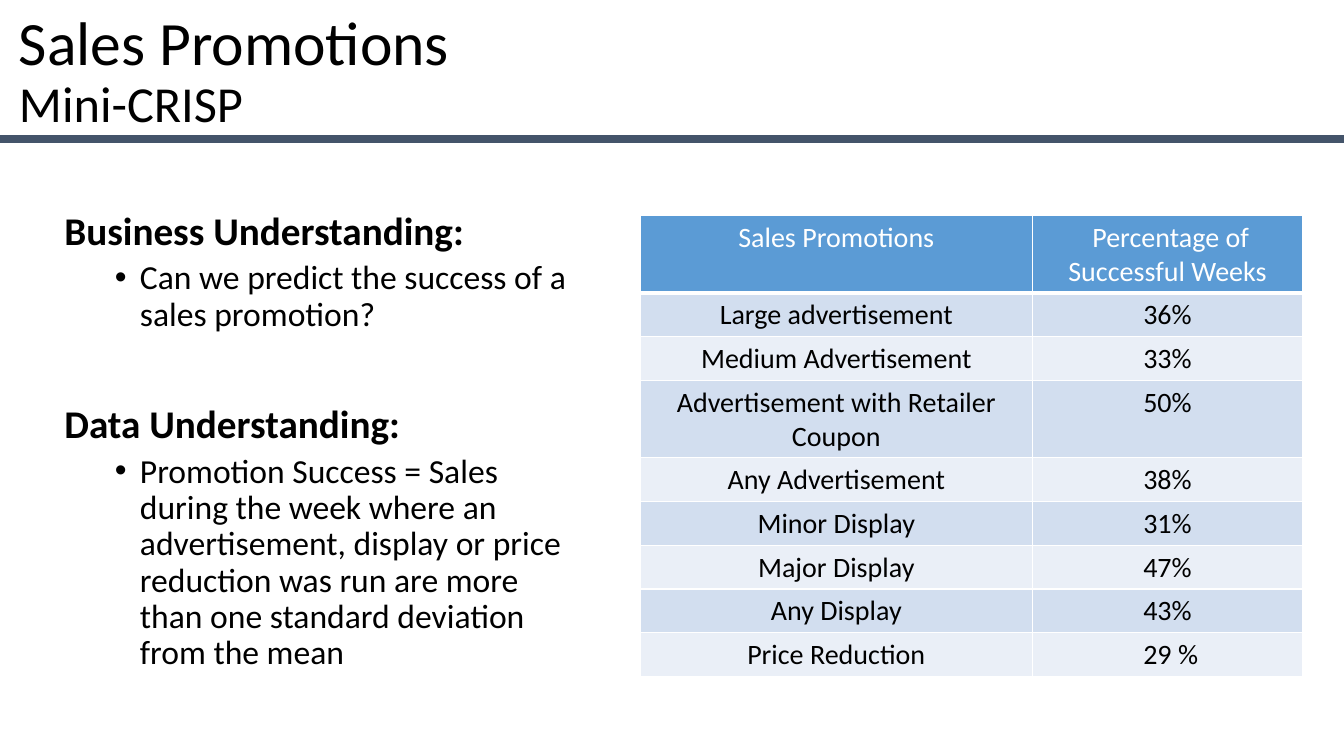
from lxml.etree import SubElement
from pptx import Presentation
from pptx.dml.color import RGBColor
from pptx.enum.shapes import MSO_CONNECTOR
from pptx.enum.text import MSO_ANCHOR, PP_ALIGN
from pptx.oxml.ns import qn
from pptx.util import Inches, Pt

COLORS = {
    "text": "000000", "white": "FFFFFF", "rule": "44546A",
    "header": "5B9BD5", "odd": "D2DEEF", "even": "EAEFF7",
}
FONT = "Calibri"
SLIDE_WIDTH, SLIDE_HEIGHT = 13.33, 7.5

TITLE = [("Sales Promotions", 44), ("Mini-CRISP", 36)]
SECTIONS = [
    ("Business Understanding:", "Can we predict the success of a sales promotion?"),
    ("Data Understanding:",
     "Promotion Success = Sales during the week where an advertisement, "
     "display or price reduction was run are more than one standard "
     "deviation from the mean"),
]
SECTION_GAP = 51
PROMOTIONS = [
    ("Sales Promotions", " Percentage of Successful Weeks"),
    ("Large advertisement", "36%"),
    ("Medium Advertisement", "33%"),
    ("Advertisement with Retailer Coupon", "50%"),
    ("Any Advertisement", "38%"),
    ("Minor Display", "31%"),
    ("Major Display", "47%"),
    ("Any Display", "43%"),
    ("Price Reduction", " 29 %"),
]


class SlideBuilder:
    """Holds the style and the current slide."""

    def __init__(self, slide, font, colors):
        """Keep the slide with its font and colours."""
        self.slide, self.font, self.colors = slide, font, colors

    def color(self, name):
        """Return a named colour."""
        return RGBColor.from_string(self.colors[name])

    def style(self, font, size, color="text", bold=False):
        """Set the font of a paragraph or run."""
        font.name, font.size, font.bold = self.font, Pt(size), bold
        font.color.rgb = self.color(color)

    def text_box(self, left, top, width, height, anchor=MSO_ANCHOR.TOP):
        """Add a wrapping text box and return its frame."""
        box = self.slide.shapes.add_textbox(
            Inches(left), Inches(top), Inches(width), Inches(height))
        frame = box.text_frame
        frame.word_wrap = True
        frame.vertical_anchor = anchor
        return frame

    def title(self, lines, *place):
        """Add a title whose lines have their own sizes."""
        para = self.text_box(*place, anchor=MSO_ANCHOR.MIDDLE).paragraphs[0]
        para.line_spacing = 0.9
        for index, (text, size) in enumerate(lines):
            if index:
                para.add_line_break()
            span = para.add_run()
            span.text = text
            self.style(span.font, size)

    def paragraph(self, para, text, size, space_before, bold=False):
        """Fill one body paragraph."""
        para.text = text
        para.line_spacing = 0.9
        para.space_before = Pt(space_before)
        self.style(para.font, size, bold=bold)

    def sections(self, sections, *place):
        """Add bold headings, each with a bullet below it."""
        frame = self.text_box(*place)
        for index, (heading, detail) in enumerate(sections):
            para = frame.add_paragraph() if index else frame.paragraphs[0]
            self.paragraph(para, heading, 28, SECTION_GAP if index else 10, bold=True)
            para = frame.add_paragraph()
            self.paragraph(para, detail, 24, 5)
            self.bullet(para, 0.75, 0.25)

    def bullet(self, para, margin, hanging):
        """Give a paragraph a round bullet with a hanging indent."""
        para.level = 1
        properties = para._p.get_or_add_pPr()
        properties.set("marL", str(Inches(margin)))
        properties.set("indent", str(-Inches(hanging)))
        SubElement(properties, qn("a:buFont"), typeface="Arial")
        SubElement(properties, qn("a:buChar"), char="•")

    def rule(self, top, width, weight):
        """Add a horizontal line from the left edge."""
        line = self.slide.shapes.add_connector(
            MSO_CONNECTOR.STRAIGHT, 0, Inches(top), Inches(width), Inches(top))
        line.line.color.rgb = self.color("rule")
        line.line.width = Pt(weight)
        SubElement(line._element.spPr, qn("a:effectLst"))

    def borders(self, cell, bottom):
        """Draw white borders around a cell."""
        properties = cell._tc.get_or_add_tcPr()
        for side, weight in (("L", 1), ("R", 1), ("T", 1), ("B", bottom)):
            edge = SubElement(properties, qn(f"a:ln{side}"), w=str(Pt(weight)))
            fill = SubElement(edge, qn("a:solidFill"))
            SubElement(fill, qn("a:srgbClr"), val=self.colors["white"])

    def table(self, rows, left, top, widths, row_height):
        """Add a banded table with a header row."""
        table = self.slide.shapes.add_table(
            len(rows), len(widths), Inches(left), Inches(top),
            Inches(sum(widths)), Inches(row_height * len(rows))).table
        table.first_row = table.horz_banding = False
        for column, width in zip(table.columns, widths):
            column.width = Inches(width)
        for row_index, row in enumerate(rows):
            is_header = row_index == 0
            band = "header" if is_header else ("even", "odd")[row_index % 2]
            for column_index, text in enumerate(row):
                cell = table.cell(row_index, column_index)
                self.borders(cell, bottom=3 if is_header else 1)
                cell.fill.solid()
                cell.fill.fore_color.rgb = self.color(band)
                cell.text = text
                para = cell.text_frame.paragraphs[0]
                para.alignment = PP_ALIGN.CENTER
                self.style(para.font, 20, "white" if is_header else "text")


def main():
    """Build and save the deck."""
    deck = Presentation()
    deck.slide_width, deck.slide_height = Inches(SLIDE_WIDTH), Inches(SLIDE_HEIGHT)
    page = SlideBuilder(deck.slides.add_slide(deck.slide_layouts[6]), FONT, COLORS)
    page.title(TITLE, 0.09, 0, 11.5, 1.45)
    page.sections(SECTIONS, 0.54, 2.05, 5.3, 4.76)
    page.rule(1.38, SLIDE_WIDTH, 6)
    page.table(PROMOTIONS, 6.35, 2.14, (3.89, 2.68), 0.41)
    deck.save("out.pptx")


main()
